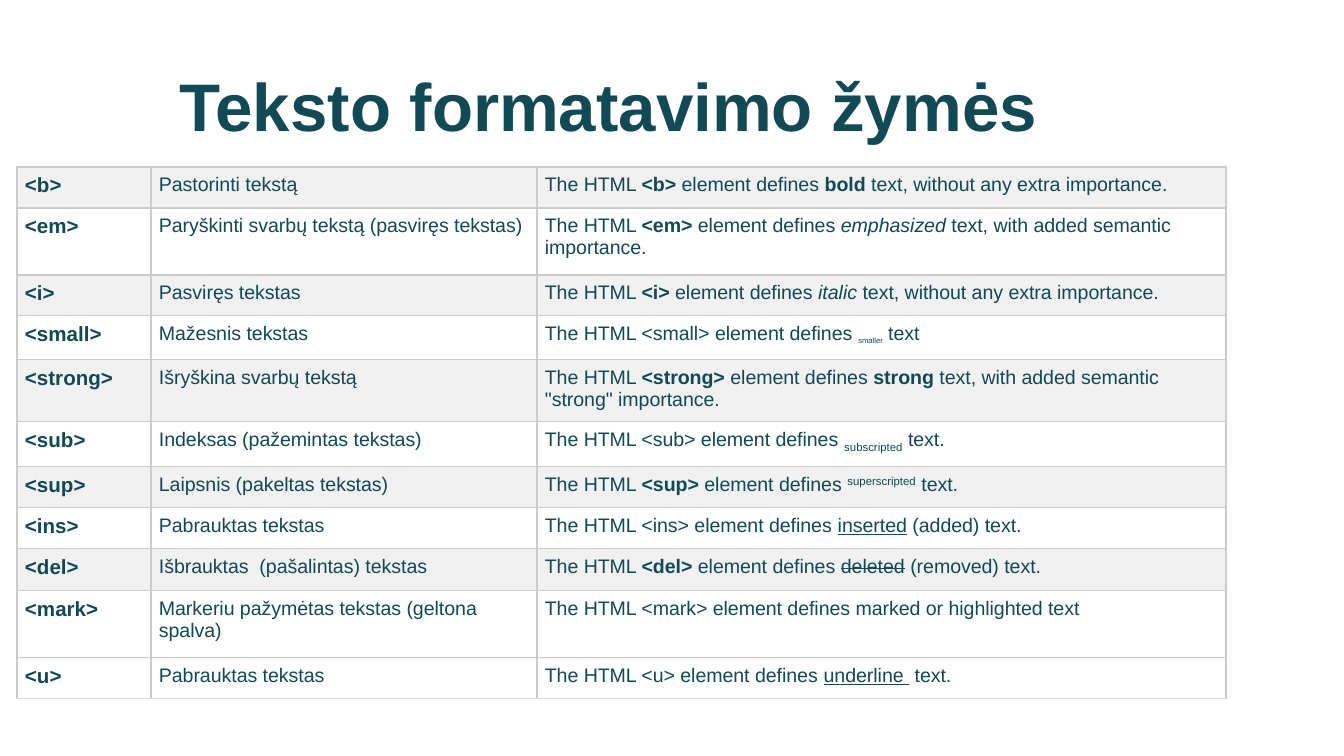
from lxml import etree
from pptx import Presentation
from pptx import util as u
from pptx.dml.color import RGBColor
from pptx.enum import text
from pptx.oxml.ns import qn

TITLE = "Teksto formatavimo žymės"
PLAIN = "text, without any extra importance."
ROWS = [
    ("<b>", True, "Pastorinti tekstą", "bold", {"bold": True}, " " + PLAIN, 41),
    ("<em>", True, "Paryškinti svarbų tekstą (pasviręs tekstas)", "emphasized",
     {"italic": True}, " text, with added semantic importance.", 67),
    ("<i>", True, "Pasviręs tekstas", "italic", {"italic": True}, " " + PLAIN, 41),
    ("<small>", False, "Mažesnis tekstas", "smaller",
     {"size": 7, "base": -25}, " text", 44),
    ("<strong>", True, "Išryškina svarbų tekstą", "strong", {"bold": True},
     ' text, with added semantic "strong" importance.', 62),
    ("<sub>", False, "Indeksas (pažemintas tekstas)", "subscripted",
     {"base": -25}, " text.", 45),
    ("<sup>", True, "Laipsnis (pakeltas tekstas)", "superscripted",
     {"base": 30}, " text.", 41),
    ("<ins>", False, "Pabrauktas tekstas", "inserted",
     {"under": True}, " (added) text.", 41),
    ("<del>", True, "Išbrauktas  (pašalintas) tekstas", "deleted",
     {"strike": True}, " (removed) text.", 42),
    ("<mark>", False, "Markeriu pažymėtas tekstas (geltona spalva)",
     "marked or highlighted text", {}, "", 67),
    ("<u>", False, "Pabrauktas tekstas", "underline ",
     {"under": True}, " text.", 41),
]
COLS = [134, 386, 689]
LEFT, TOP = 17, 167
INK, EDGE, LAST = "114954", "CCCCCC", "DDDDDD"
BANDS = ["F1F1F1", "FFFFFF"]


def px(n):
    return u.Emu(round(n * 914400 / 134.4))


def rgb(code):
    return RGBColor.from_string(code)


def write(para, words, size=10.5, bold=False, italic=False, under=False,
          strike=False, base=0):
    run = para.add_run()
    run.text = words
    font = run.font
    font.name, font.size = "Arial", u.Pt(size)
    font.bold, font.italic, font.underline = bold, italic, under
    font.color.rgb = rgb(INK)
    props = font._element
    if strike:
        props.set("strike", "sngStrike")
    if base:
        props.set("baseline", str(base * 1000))


def frame(cell, fill, foot):
    cell.margin_left = cell.margin_right = px(8)
    cell.margin_top = cell.margin_bottom = px(7)
    props = cell._tc.get_or_add_tcPr()
    for side, color in zip("LRTB", [EDGE, EDGE, EDGE, foot]):
        line = etree.SubElement(props, qn("a:ln" + side), w=str(u.Pt(0.75)))
        solid = etree.SubElement(line, qn("a:solidFill"))
        etree.SubElement(solid, qn("a:srgbClr"), val=color)
    cell.fill.solid()
    cell.fill.fore_color.rgb = rgb(fill)


deck = Presentation()
deck.slide_width, deck.slide_height = px(1344), px(756)
slide = deck.slides.add_slide(deck.slide_layouts[5])

title = slide.shapes.title
title.left, title.top, title.width, title.height = map(px, (56, 75, 1105, 60))
box = title.text_frame
box.word_wrap = True
box.auto_size = text.MSO_AUTO_SIZE.NONE
box.vertical_anchor = text.MSO_ANCHOR.MIDDLE
box.paragraphs[0].alignment = text.PP_ALIGN.CENTER
write(box.paragraphs[0], TITLE, size=36, bold=True)

high = sum(row[-1] for row in ROWS)
table = slide.shapes.add_table(len(ROWS), len(COLS), px(LEFT), px(TOP),
                               px(sum(COLS)), px(high)).table
table.first_row = table.horz_banding = False
for col, wide in zip(table.columns, COLS):
    col.width = px(wide)

for i, (tag, heavy, sense, word, style, rest, tall) in enumerate(ROWS):
    table.rows[i].height = px(tall)
    cells = [
        [(tag, {"size": 11, "bold": True})],
        [(sense, {})],
        [("The HTML ", {}), (tag, {"bold": heavy}), (" element defines ", {}),
         (word, style), (rest, {})],
    ]
    foot = LAST if i == len(ROWS) - 1 else EDGE
    for j, runs in enumerate(cells):
        cell = table.cell(i, j)
        frame(cell, BANDS[i % 2] if i < len(ROWS) - 1 else BANDS[1], foot)
        for words, form in runs:
            if words:
                write(cell.text_frame.paragraphs[0], words, **form)

deck.save("out.pptx")
